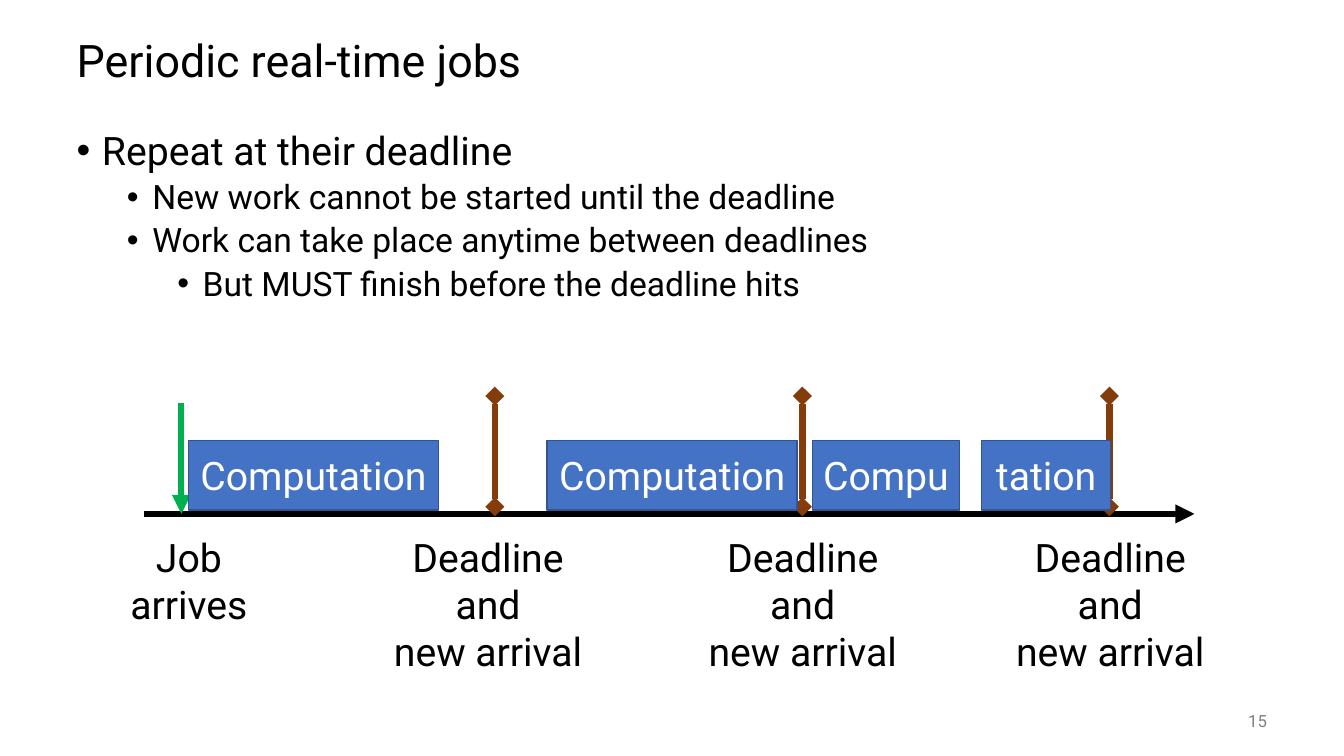
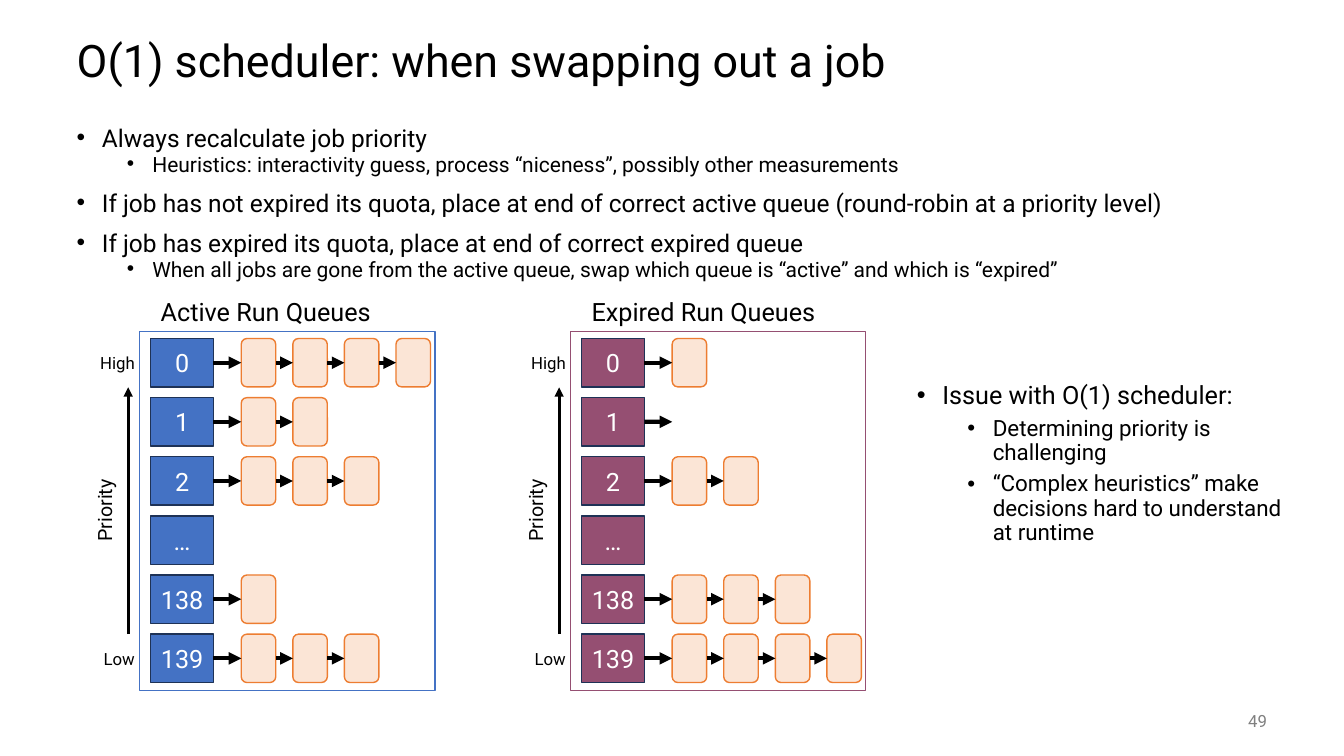
from dataclasses import dataclass

from pptx import Presentation
from pptx.dml.color import RGBColor
from pptx.enum.shapes import MSO_CONNECTOR, MSO_SHAPE
from pptx.enum.text import MSO_ANCHOR, MSO_AUTO_SIZE, PP_ALIGN
from pptx.oxml import parse_xml
from pptx.oxml.ns import nsdecls
from pptx.util import Cm, Pt

FONT = "Roboto"
BLACK, WHITE, GRAY = "000000", "FFFFFF", "808080"
BLUE, BLUE_EDGE, NAVY, PLUM = "4472C4", "325491", "1E3256", "954F72"
GREEN, BROWN, PEACH, ORANGE = "00B050", "843C0B", "FBE5D6", "ED7D31"
TITLE_ONLY = 5


@dataclass
class Box:
    """A rectangle in centimetres."""

    left: float
    top: float
    width: float
    height: float

    def inner(self, left, top, width, height):
        """Return a box given relative to this one's corner."""
        return Box(self.left + left, self.top + top, width, height)

    def lengths(self):
        """Return the four lengths for python-pptx."""
        return Cm(self.left), Cm(self.top), Cm(self.width), Cm(self.height)


TITLE_BOX = Box(1.68, 0.64, 30.48, 1.9)
NUMBER_BOX = Box(29.64, 17.65, 2.54, 1.02)


def color(value):
    """Turn a hex string into a colour."""
    return RGBColor.from_string(value)


def add_span(para, text, size, ink):
    """Add one formatted run to a paragraph."""
    span = para.add_run()
    span.text = text
    span.font.name = FONT
    span.font.size = Pt(size)
    span.font.color.rgb = color(ink)


def fill_text(frame, lines, size, ink=BLACK, align=PP_ALIGN.CENTER, anchor=MSO_ANCHOR.TOP):
    """Write lines as paragraphs of one style."""
    frame.word_wrap = True
    frame.vertical_anchor = anchor
    for index, line in enumerate(lines):
        para = frame.add_paragraph() if index else frame.paragraphs[0]
        para.alignment = align
        add_span(para, line, size, ink)


def add_label(page, box, lines, size, **style):
    """Add a text box and return it."""
    label = page.shapes.add_textbox(*box.lengths())
    fill_text(label.text_frame, lines, size, **style)
    return label


def add_block(page, box, fill, edge, text="", size=18, preset=MSO_SHAPE.RECTANGLE):
    """Add a preset shape, filled or hollow, with centred text."""
    block = page.shapes.add_shape(preset, *box.lengths())
    block.shadow.inherit = False
    if fill:
        block.fill.solid()
        block.fill.fore_color.rgb = color(fill)
    else:
        block.fill.background()
    block.line.color.rgb = color(edge)
    block.line.width = Pt(1)
    if text:
        frame = block.text_frame
        frame.margin_left = frame.margin_right = 0
        fill_text(frame, [text], size, WHITE, anchor=MSO_ANCHOR.MIDDLE)
    return block


def add_line(page, start, end, ink, width, head=None, tail="triangle"):
    """Add a straight connector with the named line ends."""
    points = [Cm(value) for value in (*start, *end)]
    line = page.shapes.add_connector(MSO_CONNECTOR.STRAIGHT, *points)
    line.line.color.rgb = color(ink)
    line.line.width = Pt(width)
    properties = line._element.spPr
    for tag, kind in (("headEnd", head), ("tailEnd", tail)):
        if kind:
            properties.ln.append(parse_xml(f'<a:{tag} {nsdecls("a")} type="{kind}"/>'))
    properties.append(parse_xml(f'<a:effectLst {nsdecls("a")}/>'))
    return line


def add_bullets(page, box, items, sizes, spacing=0.9):
    """Add a bulleted list of (level, text) items."""
    frame = page.shapes.add_textbox(*box.lengths()).text_frame
    frame.word_wrap = True
    for index, (level, text) in enumerate(items):
        para = frame.add_paragraph() if index else frame.paragraphs[0]
        properties = para._p.get_or_add_pPr()
        properties.set("marL", str(Cm(0.64 + 1.27 * level)))
        properties.set("indent", str(-Cm(0.64)))
        properties.append(parse_xml(f'<a:buFont {nsdecls("a")} typeface="Arial"/>'))
        properties.append(parse_xml(f'<a:buChar {nsdecls("a")} char="•"/>'))
        para.level = level
        para.line_spacing = spacing
        if index:
            para.space_before = Pt(5 if level else 14)
        add_span(para, text, sizes[level], BLACK)


def add_page(deck, title, number):
    """Add a slide with its title and page number."""
    page = deck.slides.add_slide(deck.slide_layouts[TITLE_ONLY])
    holder = page.shapes.title
    holder.left, holder.top, holder.width, holder.height = TITLE_BOX.lengths()
    frame = holder.text_frame
    frame.auto_size = MSO_AUTO_SIZE.NONE
    fill_text(frame, [title], 32, align=PP_ALIGN.LEFT, anchor=MSO_ANCHOR.MIDDLE)
    frame.paragraphs[0].line_spacing = 0.9
    add_label(page, NUMBER_BOX, [number], 12, ink=GRAY,
              align=PP_ALIGN.RIGHT, anchor=MSO_ANCHOR.MIDDLE)
    return page


def add_timeline(page, box):
    """Draw the job timeline with arrivals, deadlines and work."""
    axis = box.top + 2.97
    add_line(page, (box.left, axis), (box.left + box.width, axis), BLACK, 4.5)
    arrival = box.left + 0.94
    add_line(page, (arrival, box.top + 0.18), (arrival, axis), GREEN, 4.5)
    add_label(page, box.inner(-0.66, 3.33, 3.58, 2.64), ["Job arrives"], 28)
    for offset, middle in ((8.84, 8.67), (16.59, 16.6), (24.33, 24.35)):
        deadline = box.left + offset
        add_line(page, (deadline, box.top), (deadline, box.top + 2.79),
                 BROWN, 4.5, head="diamond", tail="diamond")
        add_label(page, box.inner(middle - 2.75, 3.33, 5.5, 3.84),
                  ["Deadline", "and", "new arrival"], 28)
    work = ((1.12, 6.3, "Computation"), (10.16, 6.3, "Computation"),
            (16.84, 3.71, "Compu"), (21.11, 3.25, "tation"))
    for offset, width, text in work:
        add_block(page, box.inner(offset, 1.12, width, 1.75), BLUE, BLUE_EDGE, text, 28)


def add_queue(page, box, name, fill, jobs):
    """Draw one queue: a priority square, then its linked jobs."""
    previous = add_block(page, Box(box.left, box.top, 1.58, box.height), fill, NAVY, name)
    if jobs is None:
        return
    middle = box.top + box.height / 2
    if jobs == 0:
        arrow = add_line(page, (box.left + 1.58, middle), (box.left + 2.28, middle), BLACK, 3)
        arrow.begin_connect(previous, 3)
    for index in range(jobs):
        cell = box.inner(2.28 + 1.3 * index, 0, 0.87, box.height)
        job = add_block(page, cell, PEACH, ORANGE, preset=MSO_SHAPE.ROUNDED_RECTANGLE)
        arrow = add_line(page, (cell.left - 0.43, middle), (cell.left, middle), BLACK, 3)
        arrow.begin_connect(previous, 3)
        arrow.end_connect(job, 1)
        previous = job


def add_run_queues(page, box, caption, fill, queues):
    """Draw a framed set of queues with its priority axis."""
    add_block(page, box, None, fill)
    add_label(page, box.inner(0.28, -1.02, 7, 1.02), [caption], 18, align=PP_ALIGN.LEFT)
    for row, (name, jobs) in enumerate(queues):
        add_queue(page, box.inner(0.28, 0.17 + 1.49 * row, 7, 1.22), name, fill, jobs)
    axis = box.left - 0.29
    add_line(page, (axis, box.top + 7.62), (axis, box.top + 1.4), BLACK, 2.25)
    priority = add_label(page, box.inner(-3.05, 4.07, 4.34, 0.86), ["Priority"], 14)
    priority.rotation = 270
    for text, top in (("High", 0.41), ("Low", 7.85)):
        add_label(page, box.inner(-1.45, top, 1.58, 0.76), [text], 12, align=PP_ALIGN.RIGHT)


def build_periodic(deck):
    """Build the slide on periodic real-time jobs."""
    page = add_page(deck, "Periodic real-time jobs", "15")
    add_bullets(page, Box(1.68, 3.18, 30.48, 5.5), [
        (0, "Repeat at their deadline"),
        (1, "New work cannot be started until the deadline"),
        (1, "Work can take place anytime between deadlines"),
        (2, "But MUST finish before the deadline hits"),
    ], (28, 24, 24))
    add_timeline(page, Box(3.63, 9.98, 26.47, 7.17))


def build_scheduler(deck):
    """Build the slide on the O(1) scheduler."""
    page = add_page(deck, "O(1) scheduler: when swapping out a job", "49")
    add_bullets(page, Box(1.68, 3.18, 30.48, 4.37), [
        (0, "Always recalculate job priority"),
        (1, "Heuristics: interactivity guess, process “niceness”, possibly other measurements"),
        (0, "If job has not expired its quota, place at end of correct active queue "
            "(round-robin at a priority level)"),
        (0, "If job has expired its quota, place at end of correct expired queue"),
        (1, "When all jobs are gone from the active queue, swap which queue is “active” "
            "and which is “expired”"),
    ], (17.5, 15), 0.7)
    add_bullets(page, Box(22.86, 9.53, 10.13, 7.62), [
        (0, "Issue with O(1) scheduler:"),
        (1, "Determining priority is challenging"),
        (1, "“Complex heuristics” make decisions hard to understand at runtime"),
    ], (18, 16))
    names = ("0", "1", "2", "…", "138", "139")
    for left, caption, fill, jobs in (
        (3.52, "Active Run Queues", BLUE, (4, 2, 3, None, 1, 3)),
        (14.38, "Expired Run Queues", PLUM, (1, 0, 2, None, 3, 4)),
    ):
        add_run_queues(page, Box(left, 8.36, 7.44, 9.04), caption, fill, zip(names, jobs))


def main():
    """Build and save the deck."""
    deck = Presentation()
    deck.slide_width, deck.slide_height = Cm(33.87), Cm(19.05)
    build_periodic(deck)
    build_scheduler(deck)
    deck.save("out.pptx")


if __name__ == "__main__":
    main()
